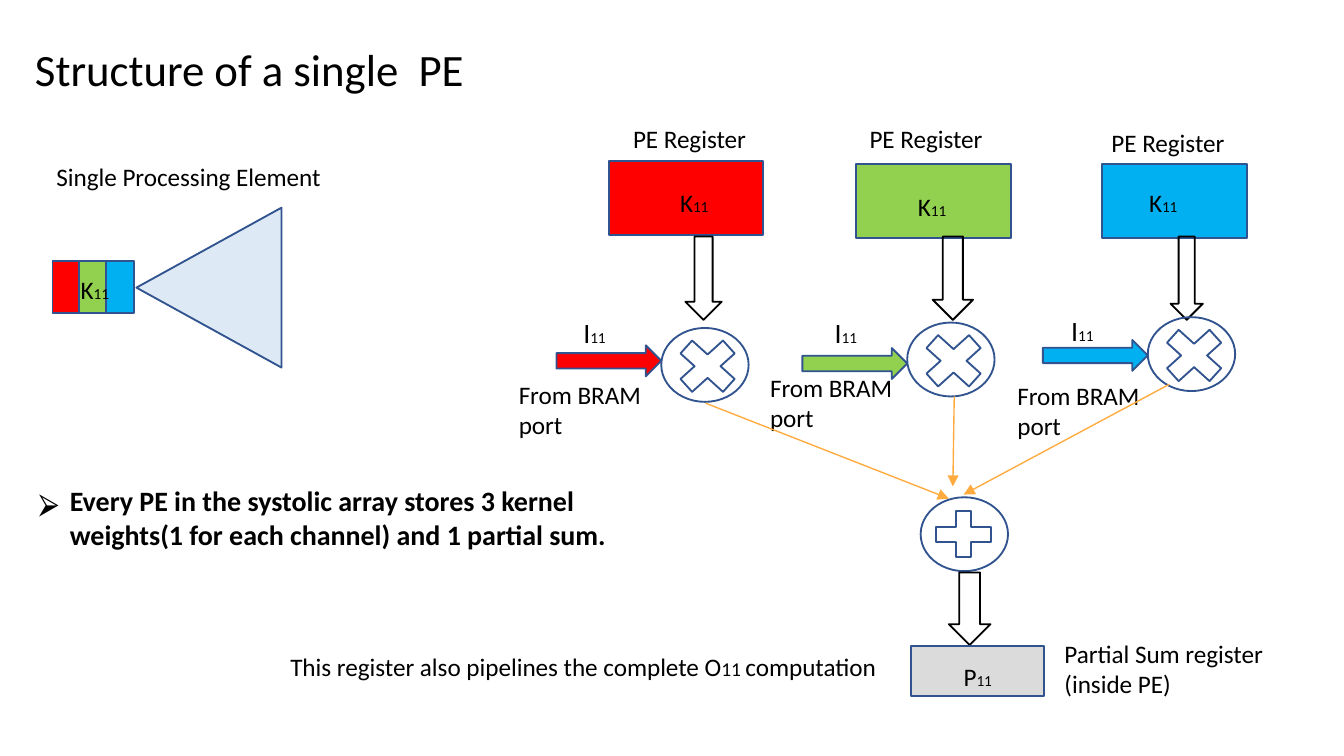
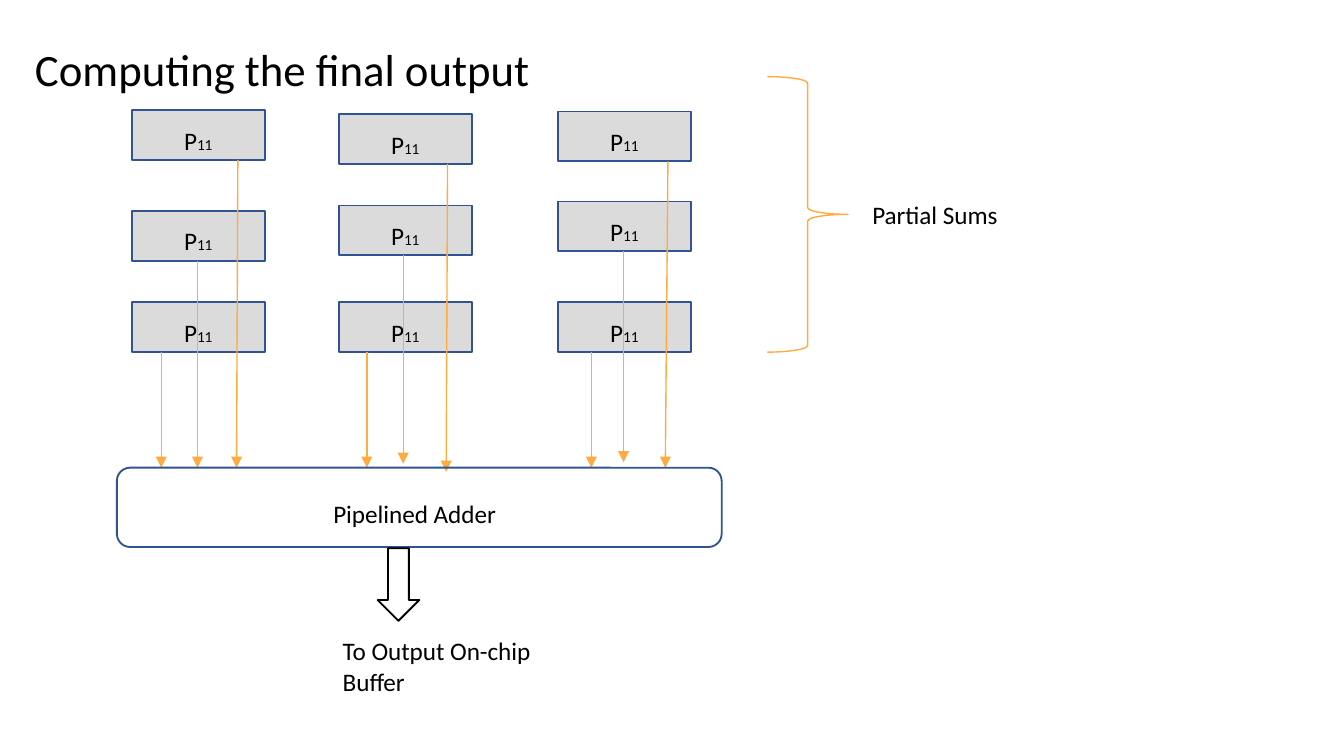
from lxml import etree
from pptx import Presentation
from pptx.dml.color import RGBColor
from pptx.enum.shapes import MSO_CONNECTOR, MSO_SHAPE
from pptx.oxml.ns import qn
from pptx.util import Inches, Pt

RECT, TRIANGLE = MSO_SHAPE.RECTANGLE, MSO_SHAPE.ISOSCELES_TRIANGLE
DOWN, RIGHT = MSO_SHAPE.DOWN_ARROW, MSO_SHAPE.RIGHT_ARROW
OVAL, TIMES, PLUS = MSO_SHAPE.OVAL, MSO_SHAPE.MATH_MULTIPLY, MSO_SHAPE.MATH_PLUS
PROCESS = MSO_SHAPE.FLOWCHART_ALTERNATE_PROCESS
BRACE, STRAIGHT = MSO_SHAPE.RIGHT_BRACE, MSO_CONNECTOR.STRAIGHT

BLACK = RGBColor(0x00, 0x00, 0x00)
NAVY = RGBColor(0x31, 0x53, 0x8F)
ORANGE = RGBColor(0xFF, 0xAB, 0x40)
RED = RGBColor(0xFF, 0x00, 0x00)
GREEN = RGBColor(0x92, 0xD0, 0x50)
BLUE = RGBColor(0x00, 0xB0, 0xF0)
PALE = RGBColor(0xDD, 0xEA, 0xF6)
GREY = RGBColor(0xDB, 0xDB, 0xDB)
CHANNELS = (RED, GREEN, BLUE)

WIDTH = Inches(10)
HEIGHT = WIDTH * 9 // 16
FONT, BODY, SUB = "Calibri", 13.5, 8.2
MARGINS = {"margin_left": Inches(0.07), "margin_right": Inches(0.07),
           "margin_top": Inches(0.04), "margin_bottom": Inches(0.04),
           "word_wrap": True}


def apply(obj, values):
    """Set each named attribute on the object."""
    for name, value in values.items():
        setattr(obj, name, value)


def add_text(slide, box, *paragraphs, size=BODY, bold=None):
    """Add a text box; a paragraph is a string or a list of (text, size)."""
    tf = slide.shapes.add_textbox(*map(Inches, box)).text_frame
    apply(tf, MARGINS)
    for i, runs in enumerate(paragraphs):
        p = tf.add_paragraph() if i else tf.paragraphs[0]
        for text, pt in [(runs, size)] if isinstance(runs, str) else runs:
            r = p.add_run()
            r.text = text
            apply(r.font, {"name": FONT, "size": Pt(pt), "bold": bold})
            r.font.color.rgb = BLACK
    return tf


def add_indexed(slide, box, letter, size=BODY):
    """Add a letter followed by its small index."""
    add_text(slide, box, [(letter, size), ("11", SUB)])


def add_shape(slide, kind, box, fill=None, line=NAVY, width=1):
    """Add an outlined shape, filled only when a colour is given."""
    sp = slide.shapes.add_shape(kind, *map(Inches, box))
    sp.shadow.inherit = False
    if fill is None:
        sp.fill.background()
    else:
        sp.fill.solid()
        sp.fill.fore_color.rgb = fill
    sp.line.color.rgb = line
    sp.line.width = Pt(width)
    return sp


def add_arrow(slide, start, end):
    """Add a thin orange connector with a triangular head."""
    cx = slide.shapes.add_connector(STRAIGHT, *map(Inches, (*start, *end)))
    cx.line.color.rgb = ORANGE
    cx.line.width = Pt(0.75)
    spPr = cx._element.spPr
    etree.SubElement(spPr.find(qn("a:ln")), qn("a:tailEnd"), type="triangle")
    etree.SubElement(spPr, qn("a:effectLst"))


def add_title(slide, text):
    """Add the slide title."""
    add_text(slide, (0.19, 0.27, 5.85, 0.48), text, size=24)


def add_bullet(slide, box, text):
    """Add a bold paragraph with an arrow bullet."""
    p = add_text(slide, box, text, size=15, bold=True).paragraphs[0]
    pPr = p._p.get_or_add_pPr()
    pPr.set("marL", str(Inches(0.23)))
    pPr.set("indent", str(Inches(-0.23)))
    color = etree.SubElement(pPr, qn("a:buClr"))
    etree.SubElement(color, qn("a:srgbClr"), val=str(BLACK))
    etree.SubElement(pPr, qn("a:buFont"), typeface="Noto Sans Symbols")
    etree.SubElement(pPr, qn("a:buChar"), char="⮚")


def add_partial_sum(slide, x, y):
    """Add a grey partial sum register."""
    add_shape(slide, RECT, (x, y, 0.99, 0.37), GREY)
    add_indexed(slide, (x + 0.32, y + 0.07, 0.47, 0.3), "P")


def add_element(slide, x, y):
    """Add the processing element symbol with its three kernel cells."""
    add_text(slide, (x - 0.04, y - 0.78, 2.67, 0.3), "Single Processing Element")
    for i, color in enumerate(CHANNELS):
        add_shape(slide, RECT, (x + 0.2 * i, y, 0.21, 0.39), color)
    add_indexed(slide, (x + 0.14, y + 0.06, 0.47, 0.18), "K")
    sp = add_shape(slide, TRIANGLE, (x + 0.57, y - 0.34, 1.19, 1.08), PALE)
    sp.rotation = 270


def add_register(slide, box, color, caption, kernel, arrow):
    """Add a kernel register; the last three are offsets of its parts."""
    x, y = box[:2]
    add_shape(slide, RECT, box, color)
    add_indexed(slide, (x + kernel[0], y + kernel[1], 0.47, 0.18), "K")
    add_text(slide, (x + caption[0], y + caption[1], 1.33, 0.3), "PE Register")
    add_shape(slide, DOWN, (x + arrow[0], 1.76, arrow[1], 0.62), line=BLACK)


def add_multiplier(slide, x, y, color, feed, index, port, lines):
    """Add a multiplier with its input arrow and labels at given offsets."""
    add_shape(slide, OVAL, (x, y, 0.65, 0.55))
    add_shape(slide, TIMES, (x + 0.04, y + 0.01, 0.61, 0.55))
    add_shape(slide, RIGHT, (x - 0.78, y + feed, 0.78, 0.23), color)
    add_indexed(slide, (x + index[0], y + index[1], 0.47, 0.33), "I", 15)
    add_text(slide, (x + port[0], y + port[1], 1.33, 0.53), *lines)


def add_adder(slide, x, y):
    """Add the adder and the register that it feeds."""
    add_shape(slide, OVAL, (x, y, 0.65, 0.55))
    add_shape(slide, PLUS, (x + 0.04, y + 0.04, 0.56, 0.47))
    add_shape(slide, DOWN, (x + 0.21, y + 0.56, 0.31, 0.54), line=BLACK)
    add_partial_sum(slide, x - 0.07, y + 1.11)
    add_text(slide, (x + 1, y + 1.01, 1.91, 0.53),
             "Partial Sum register", "(inside PE)")
    add_text(slide, (x - 4.76, y + 1.11, 4.63, 0.3),
             [("This register also pipelines the complete O", BODY),
              ("11 ", 10.5), ("computation", BODY)])


def build_structure(slide):
    """Build the slide on a single processing element."""
    add_title(slide, "Structure of a single  PE")
    add_element(slide, 0.39, 1.94)
    registers = (
        ((4.53, 1.2, 1.15, 0.55), RED, (0.11, -0.32), (0.46, 0.15), (0.57, 0.27)),
        ((6.37, 1.22, 1.15, 0.55), GREEN, (0.03, -0.34), (0.39, 0.16), (0.57, 0.3)),
        ((8.2, 1.22, 1.08, 0.55), BLUE, (0, -0.31), (0.28, 0.13), (0.51, 0.24)))
    for register in registers:
        add_register(slide, *register)
    one_line = ("From BRAM port",)
    multipliers = (
        (4.92, 2.44, RED, 0.13, (-0.65, -0.13), (-1.13, 0.34), ("From BRAM", "port")),
        (6.75, 2.4, GREEN, 0.19, (-0.61, -0.09), (-1.09, 0.33), one_line),
        (8.54, 2.36, BLUE, 0.17, (-0.64, -0.07), (-1.04, 0.43), one_line))
    for multiplier in multipliers:
        add_multiplier(slide, *multiplier)
    for start, end in (((5.25, 3), (7.06, 3.71)), ((8.7, 2.86), (7.17, 3.68)),
                       ((7.1, 2.95), (7.09, 3.62))):
        add_arrow(slide, start, end)
    add_adder(slide, 6.85, 3.7)
    add_bullet(slide, (0.22, 3.56, 4.54, 0.58),
               "Every PE in the systolic array stores 3 kernel weights"
               "(1 for each channel) and 1 partial sum.")


def add_sum_column(slide, x, tops, arrows):
    """Add a column of partial sums; arrows give start, end offsets and end y."""
    for y in tops:
        add_partial_sum(slide, x, y)
    for y, (start, end, bottom) in zip(tops, arrows):
        add_arrow(slide, (x + start, y + 0.37), (x + end, bottom))


def add_pipeline(slide, x, y):
    """Add the pipelined adder and its output."""
    add_shape(slide, PROCESS, (x, y, 4.5, 0.59))
    add_text(slide, (x + 1.54, y + 0.19, 1.81, 0.3), "Pipelined Adder")
    add_shape(slide, DOWN, (x + 1.94, y + 0.6, 0.31, 0.54), line=BLACK)
    add_text(slide, (x + 1.61, y + 1.21, 1.55, 0.53), "To Output On-chip Buffer")


def add_brace(slide, x, y):
    """Add the brace that names the partial sums."""
    add_shape(slide, BRACE, (x, y, 0.6, 2.05), line=ORANGE, width=0.75)
    add_text(slide, (x + 0.71, y + 0.87, 1.19, 0.3), "Partial Sums")


def build_output(slide):
    """Build the slide on the final output."""
    add_title(slide, "Computing the final output")
    columns = (
        (0.98, (0.82, 1.57, 2.25),
         ((0.79, 0.78, 3.48), (0.49, 0.49, 3.48), (0.22, 0.22, 3.48))),
        (2.52, (0.85, 1.53, 2.25),
         ((0.81, 0.8, 3.51), (0.48, 0.48, 3.45), (0.21, 0.21, 3.48))),
        (4.15, (0.83, 1.5, 2.25),
         ((0.82, 0.8, 3.48), (0.49, 0.49, 3.44), (0.25, 0.25, 3.48))))
    for column in columns:
        add_sum_column(slide, *column)
    add_pipeline(slide, 0.87, 3.48)
    add_brace(slide, 5.71, 0.57)


def main():
    """Build and save the presentation."""
    prs = Presentation()
    apply(prs, {"slide_width": WIDTH, "slide_height": HEIGHT})
    for build in (build_structure, build_output):
        build(prs.slides.add_slide(prs.slide_layouts[6]))
    prs.save("out.pptx")


if __name__ == "__main__":
    main()
